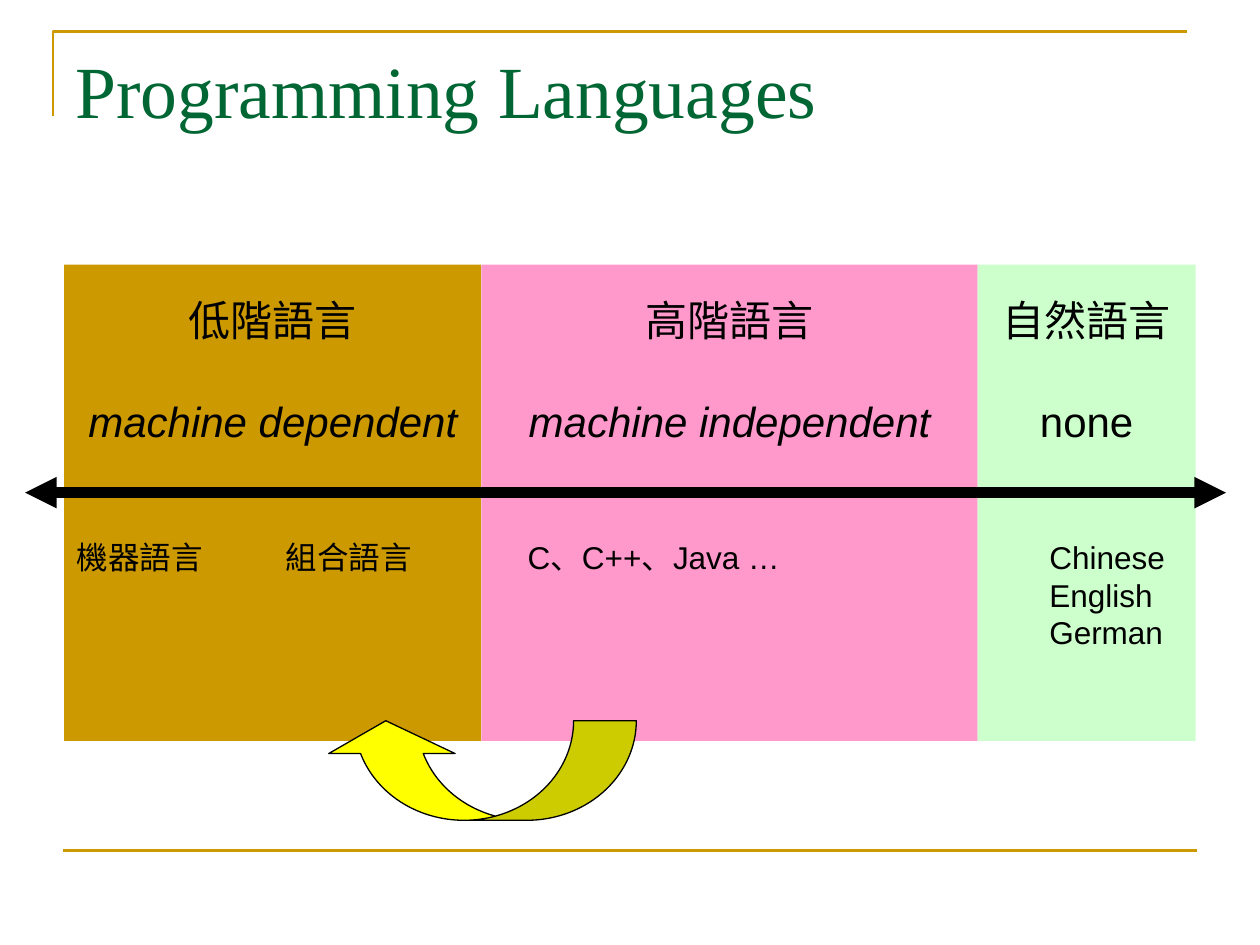
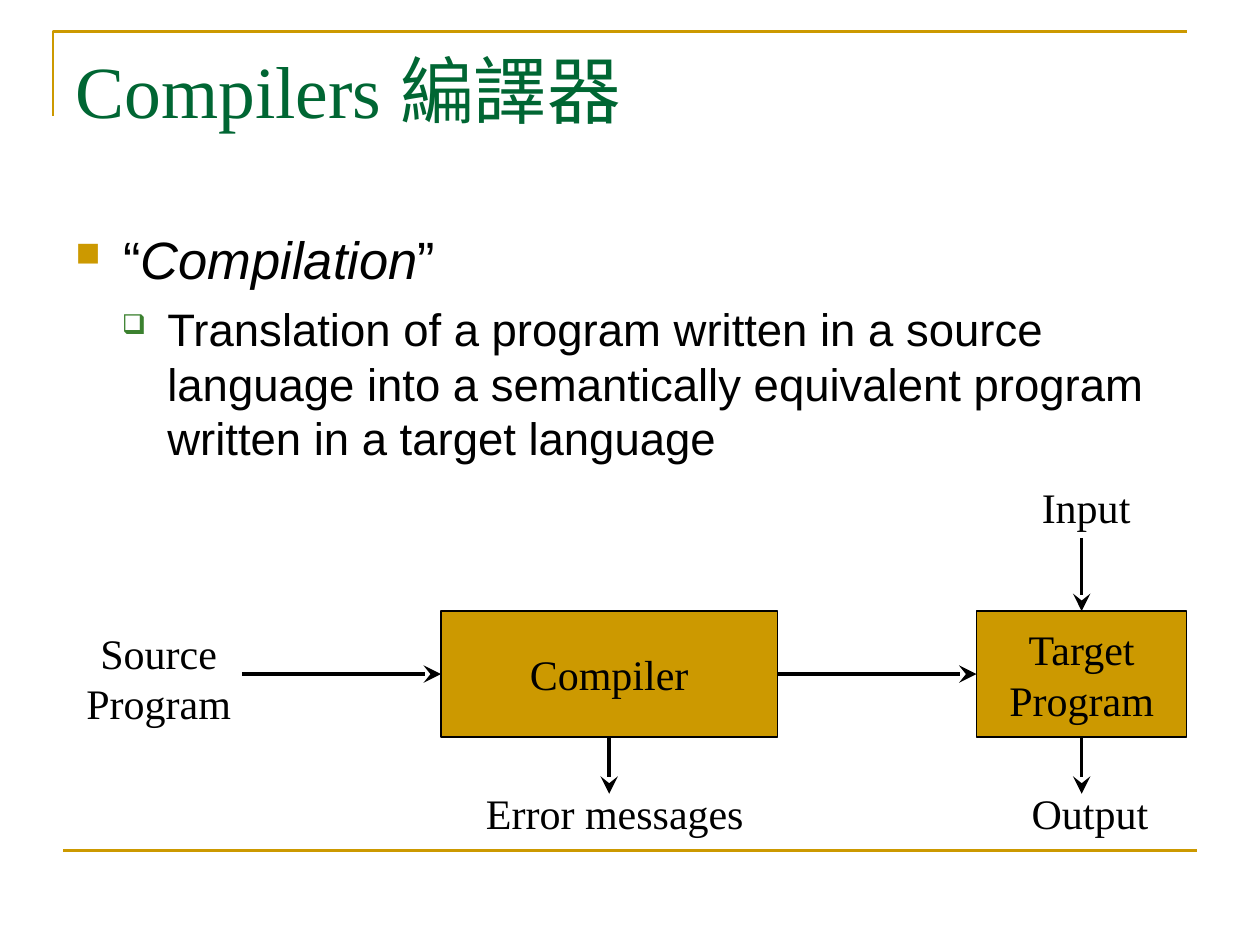
import dataclasses

import lxml.etree
import pptx
import pptx.dml.color
import pptx.enum.shapes
import pptx.enum.text
import pptx.oxml.ns
import pptx.util

SHAPES = pptx.enum.shapes.MSO_SHAPE
ANCHOR = pptx.enum.text.MSO_ANCHOR
ALIGN = pptx.enum.text.PP_ALIGN

# The grid has 100 columns and 75 rows of equal, square cells
COLUMNS, ROWS = 100, 75
CELL = pptx.util.Inches(0.1)


@dataclasses.dataclass(frozen=True)
class Theme:
    gold: str = "CC9900"
    pink: str = "FF99CC"
    mint: str = "CCFFCC"
    yellow: str = "FFFF00"
    title_green: str = "006633"
    bullet_green: str = "3B812F"
    ink: str = "000000"
    sans: str = "Arial"
    serif: str = "Times New Roman"
    title_size: int = 42
    topic_size: int = 30
    detail_size: int = 26
    label_size: int = 24
    example_size: int = 18
    line_height: float = 1.2
    rule: float = 1.5
    outline: float = 0.75
    arrow: float = 2
    axis: float = 6


THEME = Theme()


def grid(*cells):
    return [round(cell * CELL) for cell in cells]


def rgb(color):
    return pptx.dml.color.RGBColor.from_string(color)


def add_xml(parent, tag, **attributes):
    return lxml.etree.SubElement(parent, pptx.oxml.ns.qn(tag), attributes)


# Text
def write(paragraph, text, size=THEME.label_size, font=THEME.sans, color=THEME.ink,
          italic=False, align=ALIGN.LEFT, before=0):
    paragraph.alignment = align
    paragraph.space_before = pptx.util.Pt(before)
    paragraph.line_spacing = pptx.util.Pt(size * THEME.line_height)
    run = paragraph.add_run()
    run.text = text
    run.font.size = pptx.util.Pt(size)
    run.font.name = font
    run.font.italic = italic
    run.font.color.rgb = rgb(color)


def write_lines(frame, text, **text_format):
    for index, line in enumerate(text.split("\n")):
        paragraph = frame.add_paragraph() if index else frame.paragraphs[0]
        write(paragraph, line, **text_format)


def add_label(slide, text, left, top, width, height, **text_format):
    frame = slide.shapes.add_textbox(*grid(left, top, width, height)).text_frame
    frame.word_wrap = False
    write_lines(frame, text, **text_format)


def set_bullet(paragraph, character, color, percent, margin, hanging):
    properties = paragraph._p.get_or_add_pPr()
    left, indent = grid(margin, -hanging)
    properties.set("marL", str(left))
    properties.set("indent", str(indent))
    add_xml(add_xml(properties, "a:buClr"), "a:srgbClr", val=color)
    add_xml(properties, "a:buSzPct", val=str(percent * 1000))
    add_xml(properties, "a:buChar", char=character)


# Shapes and lines
def style_shape(shape, fill, outline=None):
    shape.shadow.inherit = False
    shape.fill.solid()
    shape.fill.fore_color.rgb = rgb(fill)
    if outline:
        shape.line.color.rgb = rgb(outline)
        shape.line.width = pptx.util.Pt(THEME.outline)
    else:
        shape.line.fill.background()


def add_box(slide, left, top, width, height, fill, outline=None):
    box = slide.shapes.add_shape(SHAPES.RECTANGLE, *grid(left, top, width, height))
    style_shape(box, fill, outline)
    box.text_frame.word_wrap = False
    box.text_frame.vertical_anchor = ANCHOR.MIDDLE
    return box


def add_line(slide, start, end, color=THEME.ink, width=THEME.arrow,
             head=None, tail=None, tip="med"):
    connector = slide.shapes.add_connector(
        pptx.enum.shapes.MSO_CONNECTOR.STRAIGHT, *grid(*start, *end))
    connector.line.color.rgb = rgb(color)
    connector.line.width = pptx.util.Pt(width)
    properties = connector._element.spPr
    line = properties.find(pptx.oxml.ns.qn("a:ln"))
    for tag, kind in (("a:headEnd", head), ("a:tailEnd", tail)):
        if kind:
            add_xml(line, tag, type=kind, w=tip, len=tip)
    add_xml(properties, "a:effectLst")


# Frame and title shared by both slides
def add_titled_slide(presentation, title):
    slide = presentation.slides.add_slide(presentation.slide_layouts[5])
    corner = slide.shapes.build_freeform(*grid(4.2, 9.2))
    corner.add_line_segments([grid(4.2, 2.5), grid(94.2, 2.5)], close=False)
    corner = corner.convert_to_shape()
    corner.shadow.inherit = False
    corner.fill.background()
    corner.line.color.rgb = rgb(THEME.gold)
    corner.line.width = pptx.util.Pt(THEME.rule)
    add_line(slide, (5, 67.5), (95, 67.5), THEME.gold, THEME.rule)

    placeholder = slide.shapes.title
    placeholder.left, placeholder.top, placeholder.width, placeholder.height = grid(5, 3.1, 90, 12.5)
    frame = placeholder.text_frame
    frame.vertical_anchor = ANCHOR.TOP
    frame.auto_size = pptx.enum.text.MSO_AUTO_SIZE.NONE
    write(frame.paragraphs[0], title, size=THEME.title_size,
          font=THEME.serif, color=THEME.title_green)
    return slide


def add_language_band(slide, left, width, fill, level, dependence, italic):
    frame = add_box(slide, left, 21, width, 37.8, fill).text_frame
    frame.vertical_anchor = ANCHOR.TOP
    frame.margin_top = grid(2.4)[0]
    write(frame.paragraphs[0], level, align=ALIGN.CENTER)
    write(frame.add_paragraph(), dependence, italic=italic, align=ALIGN.CENTER,
          before=THEME.label_size * THEME.line_height)


def build_languages(presentation):
    slide = add_titled_slide(presentation, "Programming Languages")
    left = 5.1
    for width, fill, level, dependence, italic in (
            (33.1, THEME.gold, "低階語言", "machine dependent", True),
            (39.4, THEME.pink, "高階語言", "machine independent", True),
            (17.3, THEME.mint, "自然語言", "none", False)):
        add_language_band(slide, left, width, fill, level, dependence, italic)
        left += width
    add_line(slide, (2, 39.1), (97.3, 39.1), width=THEME.axis,
             head="triangle", tail="triangle")

    # Examples under the axis
    for text, left, width, height in (
            ("機器語言", 5.1, 13, 4),
            ("組合語言", 21.7, 13, 4),
            ("C、C++、Java …", 40.9, 27, 4),
            ("Chinese\nEnglish\nGerman", 82.3, 12.6, 10)):
        add_label(slide, text, left, 42.2, width, height, size=THEME.example_size)

    # Arrow back from high-level to low-level languages
    arrow = slide.shapes.add_shape(SHAPES.CURVED_LEFT_ARROW, *grid(34.1, 48.7, 7.9, 24.9))
    style_shape(arrow, THEME.yellow, THEME.ink)
    arrow.rotation = 90
    for index, share in enumerate((0.63, 1.27, 0.33)):
        arrow.adjustments[index] = share


def add_definition(slide):
    frame = slide.shapes.add_textbox(*grid(5, 17.5, 90, 24)).text_frame
    frame.word_wrap = True
    topic, detail = frame.paragraphs[0], frame.add_paragraph()
    set_bullet(topic, "■", THEME.gold, 65, 3.8, 3.8)
    for text, italic in (("“", False), ("Compilation", True), ("”", False)):
        write(topic, text, size=THEME.topic_size, italic=italic)
    set_bullet(detail, "❑", THEME.bullet_green, 60, 7.3, 3.6)
    write(detail, "Translation of a program written in a source language into a "
          "semantically equivalent program written in a target language",
          size=THEME.detail_size, before=6.5)


def build_compilers(presentation):
    slide = add_titled_slide(presentation, "Compilers 編譯器")
    add_definition(slide)

    # Process boxes
    top, height = 48.5, 10
    middle, bottom = top + height / 2, top + height
    compiler_left, compiler_width = 35, 26.7
    target_left, target_width = 77.5, 16.7
    for text, left, width in (("Compiler", compiler_left, compiler_width),
                              ("Target\nProgram", target_left, target_width)):
        box = add_box(slide, left, top, width, height, THEME.gold, THEME.ink)
        write_lines(box.text_frame, text, font=THEME.serif, align=ALIGN.CENTER)

    # Flow arrows; result arrows stop early so their labels clear the bottom rule
    compiler_centre = compiler_left + compiler_width / 2
    target_centre = target_left + target_width / 2
    input_reach, result_reach = 5.8, 4.5
    for start, end in (
            ((19.2, middle), (compiler_left, middle)),
            ((compiler_left + compiler_width, middle), (target_left, middle)),
            ((compiler_centre, bottom), (compiler_centre, bottom + result_reach)),
            ((target_centre, bottom), (target_centre, bottom + result_reach)),
            ((target_centre, top - input_reach), (target_centre, top))):
        add_line(slide, start, end, tail="stealth", tip="lg")

    # Inputs and results, in boxes wider than their text
    for text, centre, label_top, width, label_height in (
            ("Source\nProgram", 12.6, 49.3, 16, 9),
            ("Error messages", 48.8, 62, 28, 5),
            ("Input", 86.2, 37.7, 14, 5),
            ("Output", 86.5, 62, 16, 5)):
        add_label(slide, text, centre - width / 2, label_top, width, label_height,
                  font=THEME.serif, align=ALIGN.CENTER)


def main():
    presentation = pptx.Presentation()
    presentation.slide_width = COLUMNS * CELL
    presentation.slide_height = ROWS * CELL
    build_languages(presentation)
    build_compilers(presentation)
    presentation.save("out.pptx")


if __name__ == "__main__":
    main()
